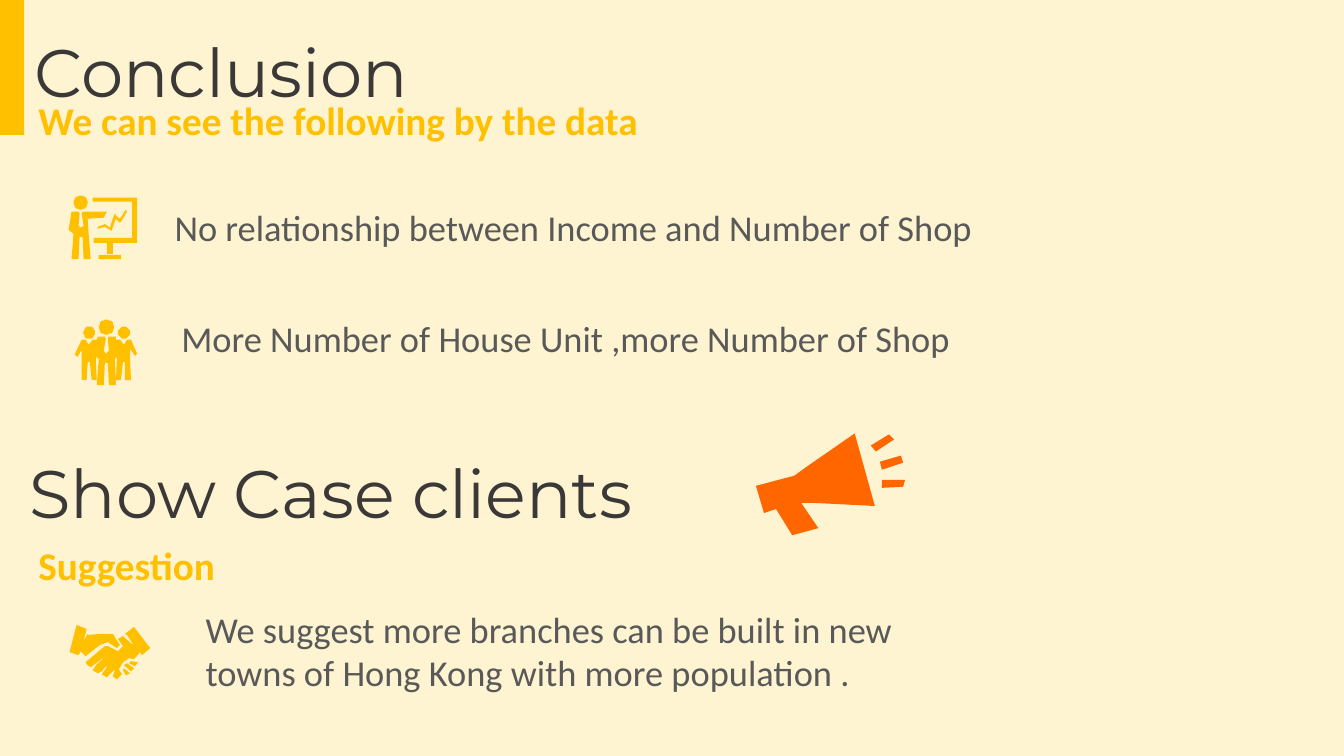
from math import cos, pi, sin

from pptx import Presentation
from pptx.dml.color import RGBColor
from pptx.enum.shapes import MSO_SHAPE as Shape
from pptx.enum.text import MSO_ANCHOR as Anchor, MSO_AUTO_SIZE as AutoSize, PP_ALIGN as Align
from pptx.util import Cm, Pt

AMBER, ORANGE, CREAM = "FFC000", "FF6600", "FFF4D1"
CHARCOAL, GREY = "3B3838", "595959"
TITLE = dict(font="Montserrat", size=48, color=CHARCOAL)
SUBTITLE = dict(size=28, color=AMBER, bold=True)
BODY = dict(size=26, color=GREY)

# Icon outlines are drawn on a grid of 0.0254 cm
GRID = Cm(0.0254)


def head(cx, cy, radius, steps=32):
    """Round outline, as a list of grid points."""
    angles = [2 * pi * step / steps for step in range(steps)]
    return [(cx + radius * cos(a), cy + radius * sin(a)) for a in angles]


PRESENTER = [
    head(80, 201, 7),
    # Chart line
    [(97, 225), (103, 223), (104, 222), (109, 226), (113, 214), (114, 212), (115, 214),
     (119, 217), (125, 208), (126, 210), (120, 220), (119, 221), (115, 217), (111, 228),
     (111, 229), (109, 228), (104, 225), (97, 227)],
    # Board and its foot
    [(98, 253), (120, 253), (120, 257), (98, 257)],
    [(112, 241), (136, 241), (136, 196), (92, 196), (92, 200), (131, 200), (131, 236),
     (93, 236), (93, 241), (106, 241), (106, 252), (112, 252)],
    # Body
    [(68, 228), (73, 232), (71, 257), (78, 257), (79, 235), (82, 235), (83, 257), (90, 257),
     (88, 232), (87, 217), (103, 216), (106, 210), (82, 210), (81, 212), (83, 224), (80, 226),
     (78, 224), (79, 212), (78, 210), (71, 210)],
]

TEAM = [
    head(105.5, 324.5, 7.5),
    head(123, 330, 6),
    head(88.5, 330, 6),
    # Three bodies
    [(95, 354), (95, 356), (96, 377), (91, 377), (89, 359), (87, 359), (86, 377), (81, 377),
     (81, 347), (77, 354), (74, 352), (81, 337), (85, 337), (88, 342), (92, 337), (96, 337),
     (97, 334), (105, 334), (104, 335), (105, 336), (103, 348), (105, 351), (108, 348),
     (107, 336), (107, 334), (115, 334), (115, 337), (119, 337), (123, 342), (126, 337),
     (130, 337), (136, 351), (134, 353), (129, 346), (129, 356), (130, 377), (124, 377),
     (124, 359), (122, 359), (120, 377), (115, 377), (116, 356), (116, 354), (114, 356),
     (115, 382), (108, 382), (107, 360), (104, 360), (103, 382), (96, 382), (98, 356)],
]

HANDSHAKE = [
    # Left hand
    [(86, 624), (76, 620), (69, 647), (78, 650), (80, 646), (85, 651), (99, 640), (107, 637),
     (116, 643), (119, 640), (112, 629), (98, 629), (88, 630), (87, 629), (83, 636), (85, 628)],
    # Right hand
    [(133, 622), (149, 643), (141, 650), (139, 647), (133, 654), (128, 653), (122, 657),
     (118, 664), (121, 669), (120, 670), (116, 674), (112, 671), (114, 665), (113, 665),
     (106, 672), (101, 669), (106, 662), (105, 661), (101, 666), (97, 668), (92, 665),
     (96, 659), (102, 654), (102, 653), (90, 662), (87, 660), (85, 657), (104, 641),
     (107, 641), (117, 646), (122, 641), (117, 634), (122, 631), (131, 639), (132, 639),
     (126, 630), (124, 629)],
    # Fingers
    [(137, 657), (130, 656), (128, 658), (134, 661)],
    [(125, 670), (129, 668), (123, 663), (122, 665)],
    [(130, 666), (133, 663), (126, 658), (123, 660)],
]

MEGAPHONE = [
    [(788, 472), (799, 464), (848, 430), (868, 502), (809, 499), (795, 499), (812, 524),
     (786, 531), (770, 505), (758, 509), (750, 482)],
    # Sound rays
    [(875, 476), (898, 476), (896, 483), (875, 484)],
    [(864, 442), (882, 431), (887, 436), (869, 448)],
    [(873, 458), (894, 452), (896, 459), (875, 466)],
]


def rgb(hex_color):
    return RGBColor.from_string(hex_color)


def paint(shape, color):
    shape.shadow.inherit = False
    shape.fill.solid()
    shape.fill.fore_color.rgb = rgb(color)
    shape.line.fill.background()


def add_bar(slide, left, top, width, height, color):
    paint(slide.shapes.add_shape(Shape.RECTANGLE, Cm(left), Cm(top), Cm(width), Cm(height)), color)


def add_icon(slide, outlines, color):
    """Draw all outlines of an icon as one freeform."""
    pen = slide.shapes.build_freeform(*outlines[0][0], scale=GRID)
    for outline in outlines:
        if outline is not outlines[0]:
            pen.move_to(*outline[0])
        pen.add_line_segments(outline[1:], close=True)
    paint(pen.convert_to_shape(), color)


def add_text(slide, text, left, top, width, height, *, size, color,
             font="Calibri", bold=False, inset=0.13, indent=0):
    box = slide.shapes.add_textbox(Cm(left), Cm(top), Cm(width), Cm(height))
    frame = box.text_frame
    frame.word_wrap = True
    frame.auto_size = AutoSize.SHAPE_TO_FIT_TEXT
    frame.vertical_anchor = Anchor.TOP
    frame.margin_left = frame.margin_right = Cm(inset)
    frame.margin_top = frame.margin_bottom = Cm(inset)
    line = frame.paragraphs[0]
    line.alignment = Align.LEFT
    if indent:
        line._p.get_or_add_pPr().set("marL", str(Cm(indent)))
    run = line.add_run()
    run.text = text
    run.font.name, run.font.size, run.font.bold = font, Pt(size), bold
    run.font.color.rgb = rgb(color)


def main():
    deck = Presentation()
    deck.slide_width, deck.slide_height = Cm(33.87), Cm(19.05)
    slide = deck.slides.add_slide(deck.slide_layouts[6])
    slide.background.fill.solid()
    slide.background.fill.fore_color.rgb = rgb(CREAM)

    # Conclusion
    add_bar(slide, 0, 0, 0.61, 3.4, AMBER)
    add_text(slide, "Conclusion", 0.74, 0.64, 11.05, 2.31, **TITLE)
    add_text(slide, "We can see the following by the data", 0.84, 2.29, 15.39, 1.24, **SUBTITLE)
    add_icon(slide, TEAM, AMBER)
    add_icon(slide, PRESENTER, AMBER)
    add_icon(slide, HANDSHAKE, AMBER)
    add_text(slide, "No relationship between Income and Number of Shop",
             4.27, 5.03, 26.19, 1.37, **BODY)
    add_text(slide, "More Number of House Unit ,more Number of Shop",
             4.32, 7.72, 20.12, 1.63, inset=0.25, **BODY)

    # Suggestion
    add_text(slide, "Show Case clients", 0.61, 11.25, 20.45, 2.31, **TITLE)
    add_text(slide, "Suggestion", 0.84, 13.51, 6.63, 1.45, **SUBTITLE)
    add_icon(slide, MEGAPHONE, ORANGE)
    add_text(slide, "We suggest more branches can be built in new towns of Hong Kong "
             "with more population .", 3.78, 15.16, 20.65, 2.49, indent=1.27, **BODY)

    deck.save("out.pptx")


if __name__ == "__main__":
    main()
